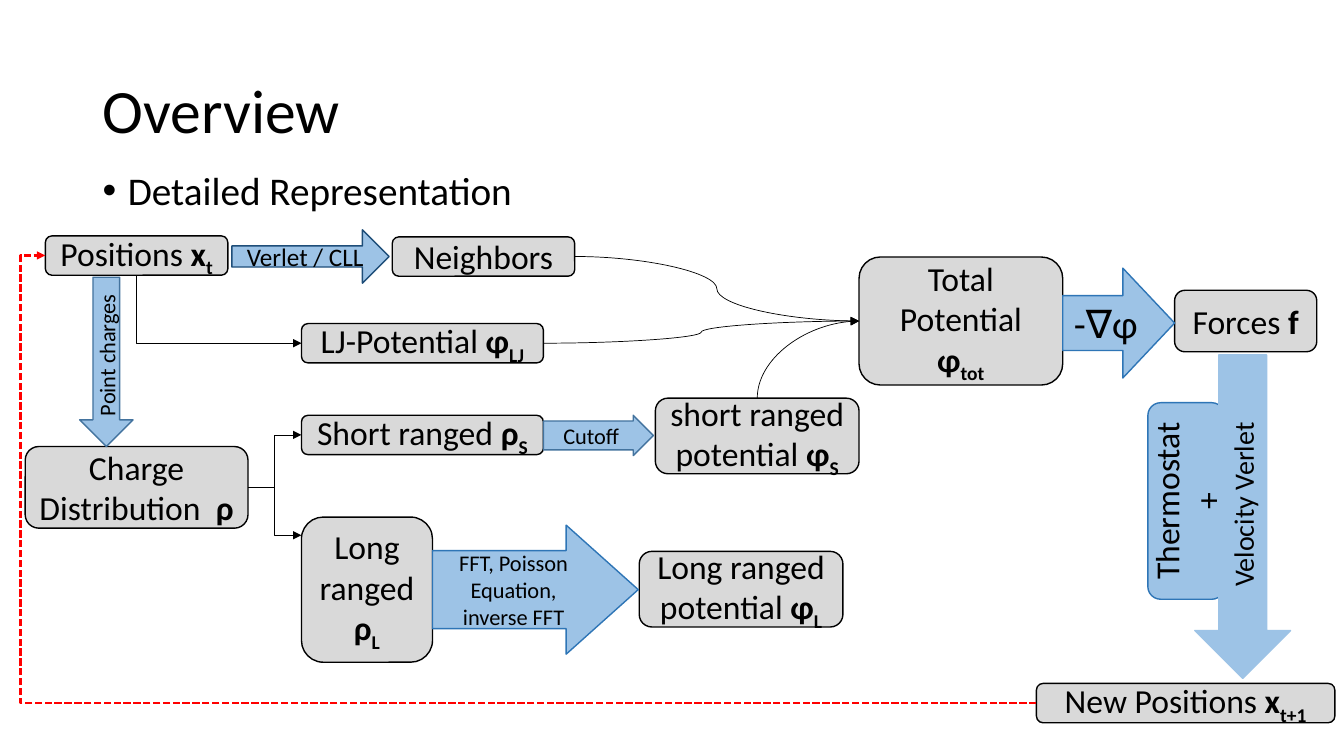
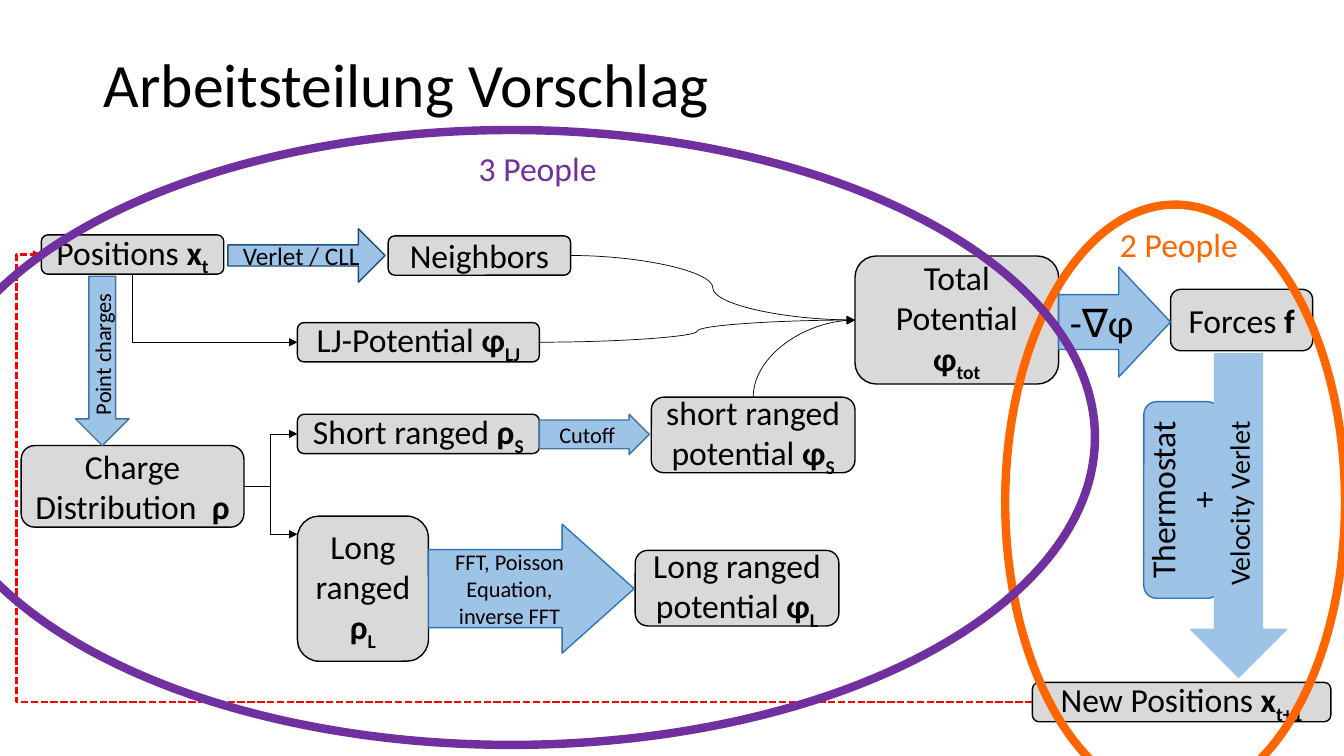
from lxml import etree
from pptx import Presentation
from pptx.dml.color import RGBColor
from pptx.enum.dml import MSO_LINE
from pptx.enum.shapes import MSO_CONNECTOR, MSO_SHAPE
from pptx.enum.text import MSO_ANCHOR, PP_ALIGN
from pptx.oxml.ns import qn
from pptx.util import Inches, Pt

ROUND, OVAL = MSO_SHAPE.ROUNDED_RECTANGLE, MSO_SHAPE.OVAL
RIGHT, DOWN = MSO_SHAPE.RIGHT_ARROW, MSO_SHAPE.DOWN_ARROW
ELBOW, CURVE = MSO_CONNECTOR.ELBOW, MSO_CONNECTOR.CURVE
MIDDLE, TOP = MSO_ANCHOR.MIDDLE, MSO_ANCHOR.TOP
CENTER, LEFT = PP_ALIGN.CENTER, PP_ALIGN.LEFT
DASH = MSO_LINE.SQUARE_DOT

FONT = "Calibri"
INK = {
    "text": "000000", "box": "D9D9D9", "step": "9DC3E6",
    "navy": "1F4E79", "blue": "2E75B6", "steel": "43739E",
    "loop": "FF0000", "orange": "FF6600", "purple": "7030A0",
}
# Connection sites in preset order, as shares of a shape's width and height
SITES = {"top": (0.5, 0), "left": (0, 0.5), "bottom": (0.5, 1), "right": (1, 0.5)}

# Grid cells are a tenth of an inch: left, top, width, height
BOXES = {
    "start": ((4.5, 23.4, 18.1, 3.9), "Positions ", "x", "t"),
    "charge": ((2.5, 44.3, 22.1, 8.1), "Charge Distribution  ", "ρ", ""),
    "short": ((29.9, 41.2, 24, 3.9), "Short ranged ", "ρ", "S"),
    "long": ((29.9, 51.3, 13, 14.4), "Long ranged ", "ρ", "L"),
    "near": ((38.9, 23.5, 18.1, 3.9), "Neighbors", "", ""),
    "longpot": ((63.4, 54.7, 20.2, 7.5), "Long ranged potential ", "φ", "L"),
    "lj": ((29.9, 32.1, 24, 3.9), "LJ-Potential ", "φ", "LJ"),
    "shortpot": ((65, 39.5, 20.2, 7.5), "short ranged potential ", "φ", "S"),
    "total": ((85.2, 25.5, 20.2, 12.7), "Total Potential ", "φ", "tot"),
    "force": ((116.5, 28.8, 14.1, 6.1), "Forces ", "f", ""),
    "next": ((102.8, 67.8, 29.6, 3.9), "New Positions ", "x", "t+1"),
}
STEPS = [
    (RIGHT, (23, 22.8, 15.6, 5.3), "Verlet / CLL", 18, "navy", (0.394, 0.5)),
    (RIGHT, (42.9, 52.1, 20.4, 12.8), "FFT, Poisson Equation, inverse FFT", 16,
     "blue", (0.605, 0.558)),
    (DOWN, (7.9, 27.5, 5.3, 16.8), "Point charges", 16, "steel", (0.5, 0.5)),
    (RIGHT, (53.9, 41.2, 10.9, 4), "Cutoff", 16, "steel", (0.715, 0.5)),
    (RIGHT, (105.4, 26.6, 11.1, 10.9), "-∇φ", 28, "blue", (0.5, 0.471)),
    (DOWN, (118.5, 35.2, 9.5, 32.1), "Velocity Verlet", 20, "step", (0.5, 0.5)),
]


def rgb(name):
    return RGBColor.from_string(INK[name])


def cells(area):
    return [Inches(n / 10) for n in area]


def add_run(para, words, size, ink="text", bold=False, sub=False):
    run = para.add_run()
    run.text = words
    font = run.font
    font.name, font.size, font.bold = FONT, Pt(size), bold
    font.color.rgb = rgb(ink)
    if sub:
        run._r.get_or_add_rPr().set("baseline", "-25000")


def set_up(shape, align, anchor):
    frame = shape.text_frame
    frame.word_wrap = True
    frame.vertical_anchor = anchor
    para = frame.paragraphs[0]
    para.alignment = align
    return para


def add_form(shapes, kind, area, fill, edge, width=1):
    """A flat preset shape; returns it with its centred paragraph."""
    form = shapes.add_shape(kind, *cells(area))
    form.shadow.inherit = False
    if fill:
        form.fill.solid()
        form.fill.fore_color.rgb = rgb(fill)
    else:
        form.fill.background()
    form.line.color.rgb = rgb(edge)
    form.line.width = Pt(width)
    return form, set_up(form, CENTER, MIDDLE)


def add_text(slide, area, words, size, ink="text", anchor=TOP):
    para = set_up(slide.shapes.add_textbox(*cells(area)), LEFT, anchor)
    add_run(para, words, size, ink)
    return para


def add_title(slide, area, words):
    add_text(slide, area, words, 44, anchor=MIDDLE).line_spacing = 0.9


def add_point(slide, area, words):
    para = add_text(slide, area, words, 28)
    para.line_spacing, para.space_before = 0.9, Pt(10)
    props = para._p.get_or_add_pPr()
    props.set("marL", str(Inches(0.25)))
    props.set("indent", str(-Inches(0.25)))
    etree.SubElement(props, qn("a:buFont")).set("typeface", "Arial")
    etree.SubElement(props, qn("a:buChar")).set("char", "•")


def add_box(shapes, area, words, sign, index):
    box, para = add_form(shapes, ROUND, area, "box", "text")
    add_run(para, words, 24)
    if sign:
        add_run(para, sign, 24, bold=True)
    if index:
        add_run(para, index, 24, bold=True, sub=True)
    return box


def add_step(shapes, kind, area, words, size, edge, shares):
    step, para = add_form(shapes, kind, area, "step", edge)
    for i, share in enumerate(shares):
        step.adjustments[i] = share
    if kind == DOWN:
        step.text_frame._txBody.bodyPr.set("vert", "vert270")
    add_run(para, words, size)


def spot(box, side, drop=None):
    across, down = SITES[side]
    down = down if drop is None else drop
    return int(box.left + box.width * across), int(box.top + box.height * down)


def add_link(shapes, kind, tail, side, head, drop=None, ink="text", width=0.5):
    """An arrow from one side of a box to the left side of another."""
    a, b = spot(tail, side), spot(head, "left", drop)
    link = shapes.add_connector(kind, *a, *b)
    names = list(SITES)
    link.begin_connect(tail, names.index(side))
    if drop is None:
        link.end_connect(head, names.index("left"))
    link.line.color.rgb = rgb(ink)
    link.line.width = Pt(width)
    props = link._element.spPr
    etree.SubElement(link.line._get_or_add_ln(), qn("a:tailEnd")).set("type", "triangle")
    etree.SubElement(props, qn("a:effectLst"))
    # One bend only when the arrow leaves a box vertically
    if side in ("top", "bottom"):
        wide, high = link.width, link.height
        link.left += (wide - high) // 2
        link.top += (high - wide) // 2
        link.width, link.height = high, wide
        link.rotation = 270 if b[1] > a[1] else 90
        props.xfrm.set("flipH", "1")
        geom = props.find(qn("a:prstGeom"))
        geom.set("prst", geom.get("prst").replace("3", "2"))
    return link


def draw_flow(shapes):
    box = {name: add_box(shapes, *row) for name, row in BOXES.items()}

    # Thermostat lies behind the Velocity Verlet arrow
    heat, para = add_form(shapes, ROUND, (107.9, 45.9, 19.5, 7.6), "step", "blue")
    heat.rotation = 270
    add_run(para, "Thermostat", 24)
    para.add_line_break()
    add_run(para, "+", 24)
    for row in STEPS:
        add_step(shapes, *row)

    # Flow between boxes
    add_link(shapes, ELBOW, box["charge"], "right", box["long"], 0.125)
    add_link(shapes, ELBOW, box["charge"], "right", box["short"])
    add_link(shapes, ELBOW, box["start"], "bottom", box["lj"])
    for name, side in (("shortpot", "top"), ("lj", "right"), ("near", "right")):
        add_link(shapes, CURVE, box[name], side, box["total"])

    # Loop back to the start, just left of the first box
    loop = add_link(shapes, ELBOW, box["next"], "left", box["start"], None, "loop", 1.75)
    loop.line.dash_style = DASH
    guides = loop._element.spPr.find(qn("a:prstGeom")).get_or_add_avLst()
    guide = etree.SubElement(guides, qn("a:gd"))
    guide.set("name", "adj1")
    guide.set("fmla", "val 102500")


def add_team(slide, ring, label, words, ink):
    add_form(slide.shapes, OVAL, ring, None, ink, 6)
    add_text(slide, label, words, 24, ink)


def main():
    deck = Presentation()
    deck.slide_width, deck.slide_height = Inches(13.33), Inches(7.5)
    blank = deck.slide_layouts[6]

    # Overview
    slide = deck.slides.add_slide(blank)
    add_title(slide, (9.2, 4, 115, 14.5), "Overview")
    add_point(slide, (9.2, 16.5, 115, 5.9), "Detailed Representation")
    draw_flow(slide.shapes)

    # Division of work: the same flow, nudged as one group
    slide = deck.slides.add_slide(blank)
    add_title(slide, (9.3, 1.4, 115, 14.5), "Arbeitsteilung Vorschlag")
    group = slide.shapes.add_group_shape()
    draw_flow(group.shapes)
    group.left -= Inches(0.04)
    group.top -= Inches(0.01)
    add_team(slide, (99.7, 20.3, 33.7, 59), (110.1, 21.7, 19.8, 5), "2 People", "orange")
    add_team(slide, (-7.2, 12.9, 115.8, 61), (46.5, 14.2, 20.3, 5), "3 People", "purple")

    deck.save("out.pptx")


main()
